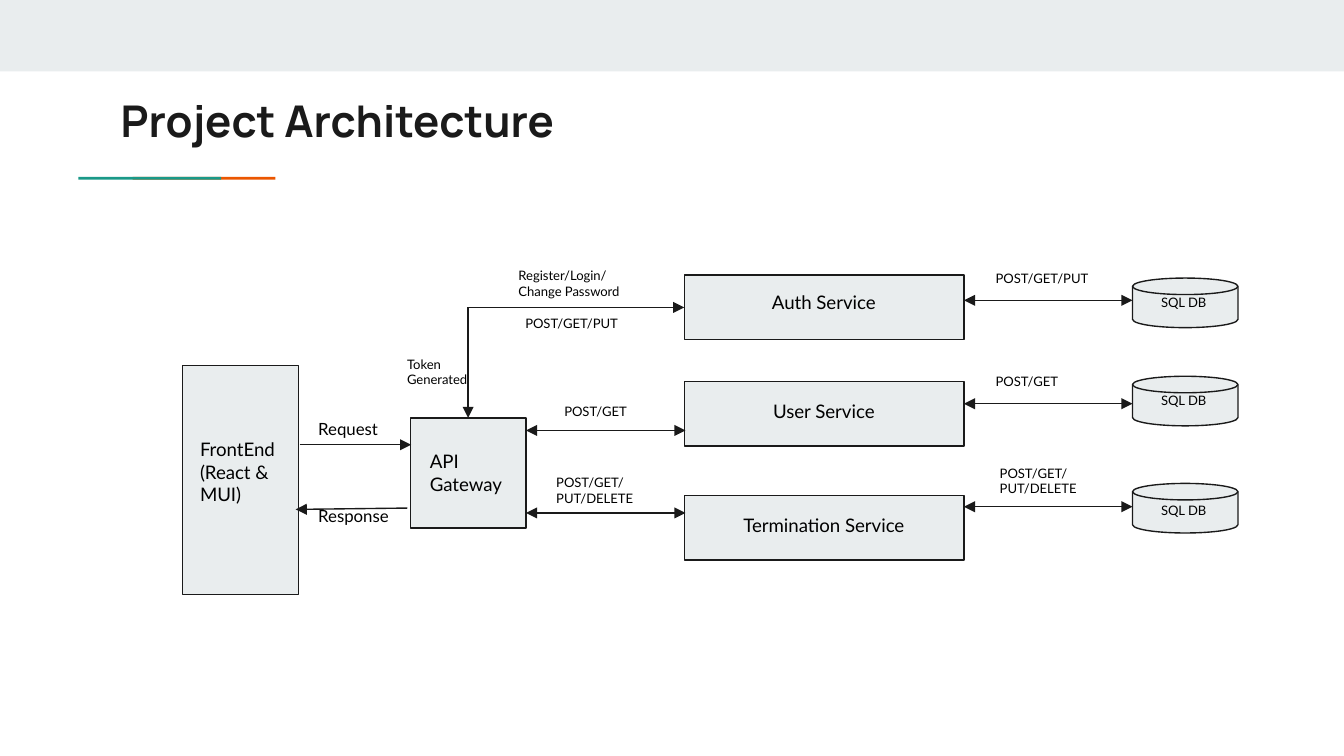
"""Build the project architecture slide: front end, gateway, services and databases."""
from dataclasses import dataclass

from lxml.etree import SubElement
from pptx import Presentation
from pptx.dml.color import RGBColor
from pptx.enum.shapes import MSO_CONNECTOR, MSO_SHAPE
from pptx.enum.text import MSO_AUTO_SIZE, PP_ALIGN
from pptx.oxml.ns import qn
from pptx.util import Pt


@dataclass(frozen=True)
class Theme:
    ink: RGBColor = RGBColor.from_string("1A1A1A")
    text: RGBColor = RGBColor.from_string("000000")
    panel: RGBColor = RGBColor.from_string("E9EDEE")
    teal: RGBColor = RGBColor.from_string("1A9988")
    orange: RGBColor = RGBColor.from_string("EB5600")
    heading_font: str = "Manrope"
    body_font: str = "Lato"
    heading: float = 23.4
    node: float = 10
    flow: float = 9
    note: float = 7
    rule: float = 0.75


class Diagram:
    def __init__(self, slide, theme):
        self.s, self.t = slide, theme

    def bar(self, x, y, w, h, color, kind=MSO_SHAPE.RECTANGLE):
        sp = self.s.shapes.add_shape(kind, Pt(x), Pt(y), Pt(w), Pt(h))
        sp.shadow.inherit = False
        sp.fill.solid()
        sp.fill.fore_color.rgb = color
        sp.line.fill.background()
        return sp

    def node(self, x, y, w, h, kind=MSO_SHAPE.RECTANGLE):
        sp = self.bar(x, y, w, h, self.t.panel, kind)
        sp.line.color.rgb = self.t.ink
        sp.line.width = Pt(self.t.rule)
        return sp

    def label(self, x, y, w, h, text, size, align=PP_ALIGN.LEFT):
        tf = self.s.shapes.add_textbox(Pt(x), Pt(y), Pt(w), Pt(h)).text_frame
        tf.word_wrap = True
        tf.auto_size = MSO_AUTO_SIZE.SHAPE_TO_FIT_TEXT
        tf.margin_left = tf.margin_right = tf.margin_top = tf.margin_bottom = Pt(7.2)
        for i, line in enumerate(text.split("\n")):
            p = tf.add_paragraph() if i else tf.paragraphs[0]
            p.alignment = align
            for j, part in enumerate(line.split("\v")):
                if j:
                    p.add_line_break()
                r = p.add_run()
                r.text = part
                r.font.size = Pt(size)
                r.font.name = self.t.body_font
                r.font.color.rgb = self.t.text
        return tf

    def title(self, x, y, w, h, text):
        tf = self.label(x, y, w, h, text, self.t.heading)
        font = tf.paragraphs[0].runs[0].font
        font.name, font.bold, font.color.rgb = self.t.heading_font, True, self.t.ink

    def arrow(self, x1, y1, x2, y2, both=False):
        cn = self.s.shapes.add_connector(MSO_CONNECTOR.STRAIGHT, Pt(x1), Pt(y1), Pt(x2), Pt(y2))
        cn.line.color.rgb = self.t.ink
        cn.line.width = Pt(self.t.rule)
        ln = cn.line._get_or_add_ln()
        for end in ("a:headEnd", "a:tailEnd") if both else ("a:tailEnd",):
            SubElement(ln, qn(end), type="triangle")
        SubElement(cn._element.spPr, qn("a:effectLst"))
        return cn


def main():
    prs = Presentation()
    prs.slide_width, prs.slide_height = Pt(720), Pt(405)
    t = Theme()
    d = Diagram(prs.slides.add_slide(prs.slide_layouts[6]), t)

    d.bar(0, 0, 720, 38.3, t.panel)
    d.bar(71, 94.8, 76.5, 1.5, t.orange)
    d.bar(42, 94.8, 76.5, 1.5, t.teal)
    d.title(57.6, 43.2, 605.5, 42.5, "Project Architecture")

    d.node(97.9, 196, 62, 122.4)
    d.label(100.1, 227.5, 59.8, 51.1, "FrontEnd\v(React &\nMUI)", t.node)
    gateway = d.node(219.8, 223.9, 62, 59)
    d.label(223.2, 234, 62, 38.9, "API\vGateway", t.node)

    d.arrow(160.5, 238.3, 220.3, 238.3)
    d.arrow(218.2, 272.2, 158.4, 272.9)
    for y, text in ((218.9, "Request"), (265.7, "Response")):
        d.label(163.4, y, 52.6, 25.2, text, t.flow)

    services = []
    for name, box_y, name_y, disk_y, db_y, link_y, verbs, verbs_x, verbs_y in (
        ("Auth Service", 147.4, 149.8, 149, 153.4, 160.9, "POST/GET/PUT", 526.3, 140.4),
        ("User Service", 204.3, 208.1, 201.6, 206, 216.3, "POST/GET", 526.3, 195.8),
        ("Termination Service", 265.5, 269.3, 259, 265, 271.5, "POST/GET/PUT/DELETE", 528.5, 241.9),
    ):
        services.append(d.node(366.6, box_y, 149.8, 34.6))
        d.label(381.6, name_y, 119.5, 26.6, name, t.node, PP_ALIGN.CENTER)
        d.node(606.7, disk_y, 56.5, 26.6, MSO_SHAPE.FLOWCHART_MAGNETIC_DISK)
        d.label(614.9, db_y, 70.6, 23, "SQL DB", t.note)
        d.arrow(516.4, link_y, 606.7, link_y, both=True)
        d.label(verbs_x, verbs_y, 68, 23, verbs, t.note)

    corner_x, corner_y = 250.8, 164.7
    d.arrow(corner_x, corner_y, 366.6, corner_y).end_connect(services[0], 1)
    d.arrow(corner_x, corner_y, corner_x, 223.9).end_connect(gateway, 0)
    for y in (230.6, 274.8):
        d.arrow(281.8, y, 367.2, y, both=True)

    for x, y, w, h, text in (
        (270.7, 136.1, 91.4, 31.7, "Register/Login/\nChange Password"),
        (274.3, 164.9, 70.6, 23, "POST/GET/PUT"),
        (211, 183.6, 56.2, 31.7, "Token\nGenerated"),
        (295.2, 211.7, 49.7, 23, "POST/GET"),
        (290.9, 247, 66.2, 31.7, "POST/GET/PUT/DELETE"),
    ):
        d.label(x, y, w, h, text, t.note)

    prs.save("out.pptx")


if __name__ == "__main__":
    main()
